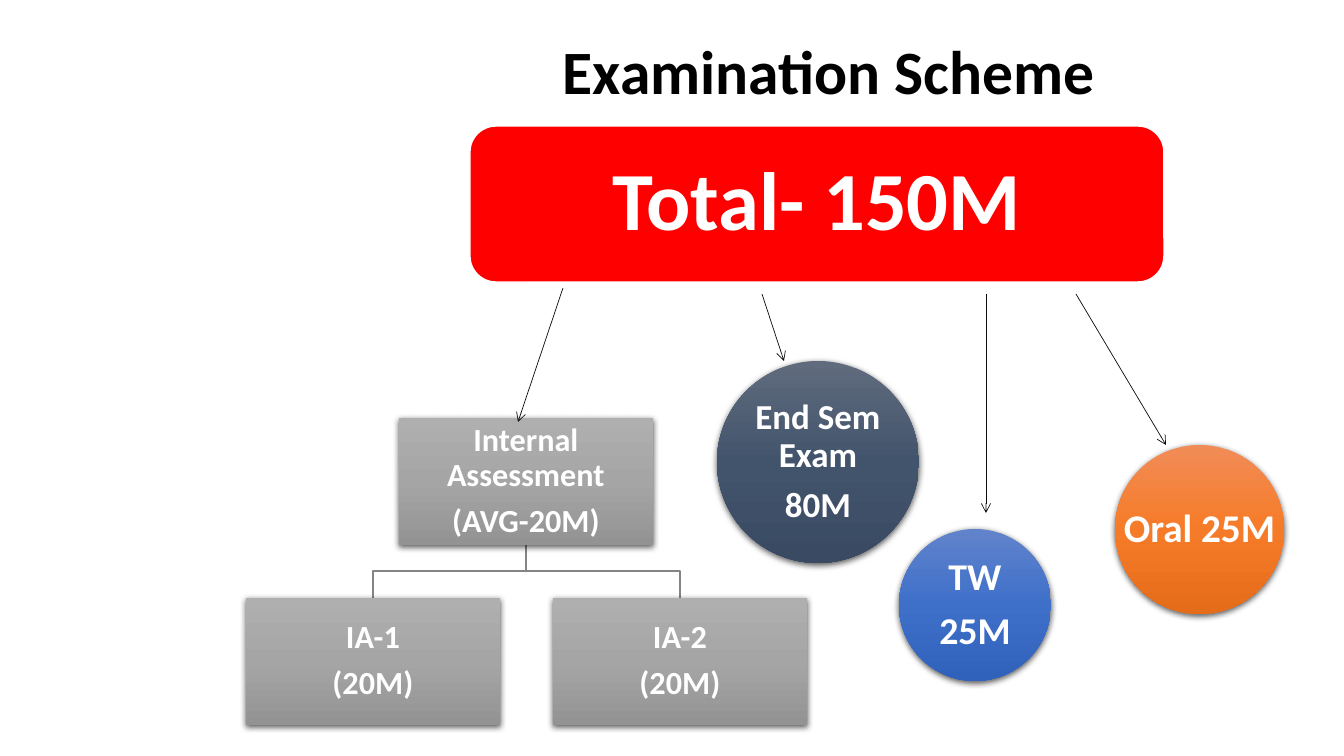
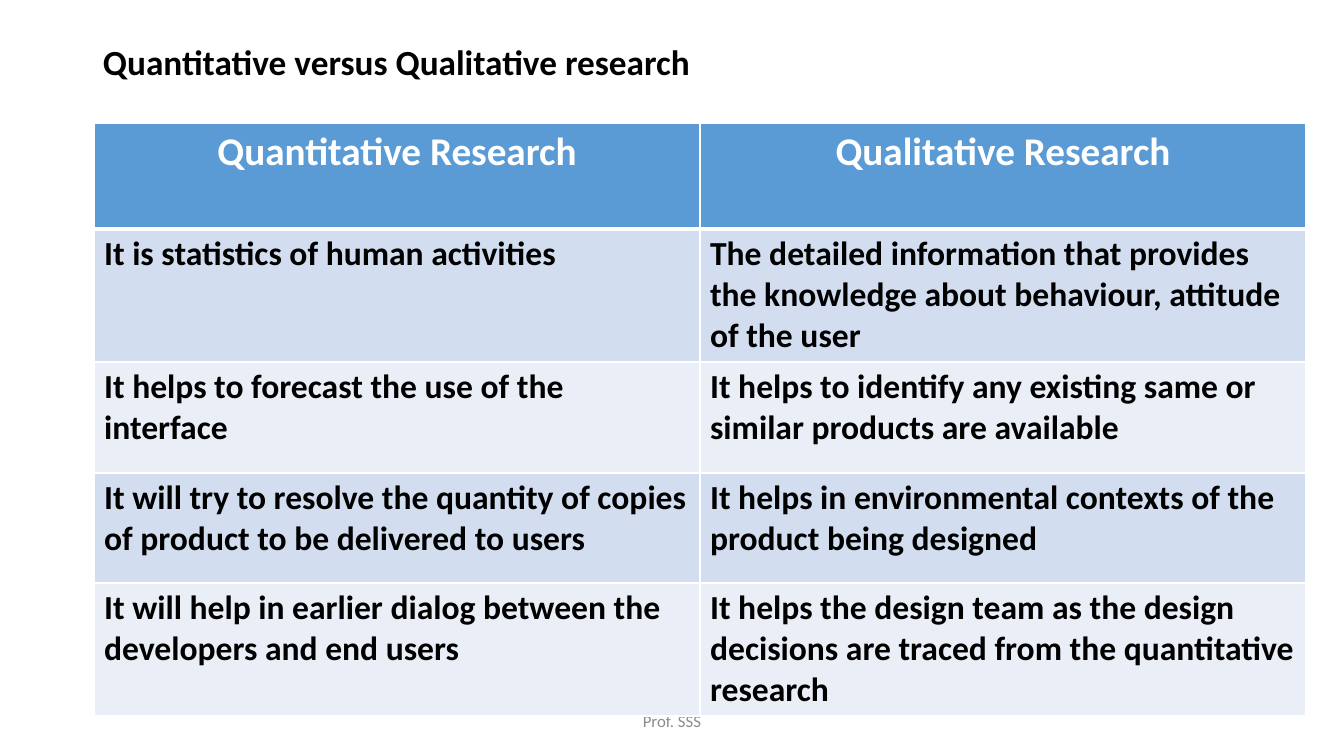
from pptx import Presentation
from pptx.dml.color import RGBColor
from pptx.enum.shapes import MSO_CONNECTOR, MSO_SHAPE
from pptx.enum.text import MSO_ANCHOR, PP_ALIGN
from pptx.oxml import parse_xml
from pptx.oxml.ns import nsdecls
from pptx.util import Emu, Pt

PX = 914400 / 100.8
FONT = "Calibri"
COLORS = {
    "black": "000000", "white": "FFFFFF", "red": "FF0000",
    "arrow": "0D0D0D", "branch": "848484", "footer": "8C8C8C",
    "header": "5B9BD5", "band_dark": "D2DEEF", "band_light": "EAEFF7",
}
GRADIENTS = {
    "gray": ("AFAFAF", "A5A5A5", "939393"),
    "slate": ("606B7D", "42546C", "394A62"),
    "blue": ("6183CB", "3E70CA", "3062BB"),
    "orange": ("F18C57", "F67B28", "E56C19"),
}


def px(*lengths):
    return [Emu(round(length * PX)) for length in lengths]


def write(box, lines, size, color, bold=True, align=PP_ALIGN.CENTER, spacing=0.9, inset=0, wrap=True):
    """Fill a shape or text box with middle-anchored paragraphs in one style."""
    frame = box.text_frame
    frame.word_wrap = wrap
    frame.vertical_anchor = MSO_ANCHOR.MIDDLE
    frame.margin_left, frame.margin_top, frame.margin_right, frame.margin_bottom = px(*[inset] * 4)
    for index, line in enumerate(lines):
        para = frame.paragraphs[0] if index == 0 else frame.add_paragraph()
        para.text = line
        para.alignment = align
        para.line_spacing = spacing
        if index:
            para.space_before = Pt(round(size * 0.35, 1))
        para.font.name = FONT
        para.font.size = Pt(size)
        para.font.bold = bold
        para.font.color.rgb = RGBColor.from_string(COLORS[color])


deck = Presentation()
deck.slide_width, deck.slide_height = px(1344, 756)
blank = deck.slide_layouts[6]

# Examination scheme
page = deck.slides.add_slide(blank)
title = page.shapes.add_textbox(*px(380, 24, 898, 101))
write(title, ["Examination Scheme"], 44, "black")

node_width, node_height = 254, 127
parent_left, parent_top = 399, 418
child_lefts, child_top = (246, 553), 598
parent_middle = parent_left + node_width // 2
parent_bottom = parent_top + node_height
bend = (parent_bottom + child_top) // 2

for child_left in child_lefts:
    child_middle = child_left + node_width // 2
    outline = page.shapes.build_freeform(parent_middle, parent_bottom, scale=PX)
    outline.add_line_segments(
        [(parent_middle, bend), (child_middle, bend), (child_middle, child_top)], close=False)
    branch = outline.convert_to_shape()
    branch.shadow.inherit = False
    branch.fill.background()
    branch.line.width = Pt(1)
    branch.line.color.rgb = RGBColor.from_string(COLORS["branch"])

nodes = [
    (MSO_SHAPE.RECTANGLE, (parent_left, parent_top, node_width, node_height), "gray", 23,
     ["Internal Assessment", "(AVG-20M)"]),
    (MSO_SHAPE.RECTANGLE, (child_lefts[0], child_top, node_width, node_height), "gray", 23,
     ["IA-1", "(20M)"]),
    (MSO_SHAPE.RECTANGLE, (child_lefts[1], child_top, node_width, node_height), "gray", 23,
     ["IA-2", "(20M)"]),
    (MSO_SHAPE.OVAL, (717, 361, 202, 202), "slate", 25, ["End Sem Exam", "80M"]),
    (MSO_SHAPE.OVAL, (899, 529, 152, 152), "blue", 27, ["TW", "25M"]),
    (MSO_SHAPE.OVAL, (1115, 445, 169, 169), "orange", 28, ["Oral 25M"]),
]
for kind, place, gradient, size, lines in nodes:
    node = page.shapes.add_shape(kind, *px(*place))
    node.line.fill.background()
    node.fill.background()
    stops = "".join(
        f'<a:gs pos="{position}"><a:srgbClr val="{color}"/></a:gs>'
        for position, color in zip((0, 50000, 100000), GRADIENTS[gradient]))
    properties = node.element.spPr
    properties.replace(properties.find("{*}noFill"), parse_xml(
        f'<a:gradFill {nsdecls("a")} rotWithShape="1"><a:gsLst>{stops}</a:gsLst>'
        '<a:lin ang="5400000" scaled="0"/></a:gradFill>'))
    node.shadow.inherit = False
    properties.find("{*}effectLst").append(parse_xml(
        f'<a:outerShdw {nsdecls("a")} blurRad="57150" dist="19050" dir="5400000" algn="ctr" '
        'rotWithShape="0"><a:srgbClr val="000000"><a:alpha val="63000"/></a:srgbClr></a:outerShdw>'))
    write(node, lines, size, "white", inset=3, wrap=len(lines) > 1)

total = page.shapes.add_shape(MSO_SHAPE.ROUNDED_RECTANGLE, *px(470, 126, 694, 156))
total.shadow.inherit = False
total.fill.solid()
total.fill.fore_color.rgb = RGBColor.from_string(COLORS["red"])
total.line.width = Pt(1)
total.line.color.rgb = RGBColor.from_string(COLORS["white"])
write(total, ["Total- 150M"], 59, "white", inset=20)

for ends in [(563, 288, 518, 422), (762, 294, 784, 361), (986, 294, 986, 513), (1076, 294, 1166, 445)]:
    arrow = page.shapes.add_connector(MSO_CONNECTOR.STRAIGHT, *px(*ends))
    arrow.line.width = Pt(0.5)
    arrow.line.color.rgb = RGBColor.from_string(COLORS["arrow"])
    arrow.line._get_or_add_ln().append(parse_xml(f'<a:tailEnd {nsdecls("a")} type="arrow"/>'))
    arrow.element.spPr.append(parse_xml(f'<a:effectLst {nsdecls("a")}/>'))

# Quantitative versus qualitative research
page = deck.slides.add_slide(blank)
title = page.shapes.add_textbox(*px(93, 40, 1159, 48))
write(title, ["Quantitative versus Qualitative research"], 25.2, "black", align=PP_ALIGN.LEFT, inset=10)
footer = page.shapes.add_textbox(*px(445, 701, 454, 40))
write(footer, ["Prof. SSS"], 12, "footer", bold=False, spacing=1.0)

rows = [
    ("Quantitative Research", "Qualitative Research"),
    ("It is statistics of human activities",
     "The detailed information that provides the knowledge about behaviour, attitude of the user"),
    ("It helps to forecast the use of the interface",
     "It helps to identify any existing same or similar products are available"),
    ("It will try to resolve the quantity of copies of product to be delivered to users",
     "It helps in environmental contexts of the product being designed"),
    ("It will help in earlier dialog between the developers and end users",
     "It helps the design team as the design decisions are traced from the quantitative research"),
]
row_heights = (106, 133, 111, 110, 133)
table = page.shapes.add_table(len(rows), 2, *px(94, 123, 1212, sum(row_heights))).table
for column in table.columns:
    column.width = px(606)[0]
for row_index, (texts, height) in enumerate(zip(rows, row_heights)):
    is_header = row_index == 0
    table.rows[row_index].height = px(height)[0]
    fill = "header" if is_header else "band_dark" if row_index % 2 else "band_light"
    for column_index, text in enumerate(texts):
        cell = table.cell(row_index, column_index)
        properties = cell._tc.get_or_add_tcPr()
        for side in "LRTB":
            thick = (is_header and side == "B") or (row_index == 1 and side == "T")
            properties.append(parse_xml(
                f'<a:ln{side} {nsdecls("a")} w="{Pt(3 if thick else 1)}"><a:solidFill>'
                f'<a:srgbClr val="{COLORS["white"]}"/></a:solidFill></a:ln{side}>'))
        cell.fill.solid()
        cell.fill.fore_color.rgb = RGBColor.from_string(COLORS[fill])
        para = cell.text_frame.paragraphs[0]
        para.text = text
        para.alignment = PP_ALIGN.CENTER if is_header else PP_ALIGN.LEFT
        para.font.name = FONT
        para.font.size = Pt(28 if is_header else 24)
        para.font.bold = True
        para.font.color.rgb = RGBColor.from_string(COLORS["white" if is_header else "black"])

deck.save("out.pptx")
